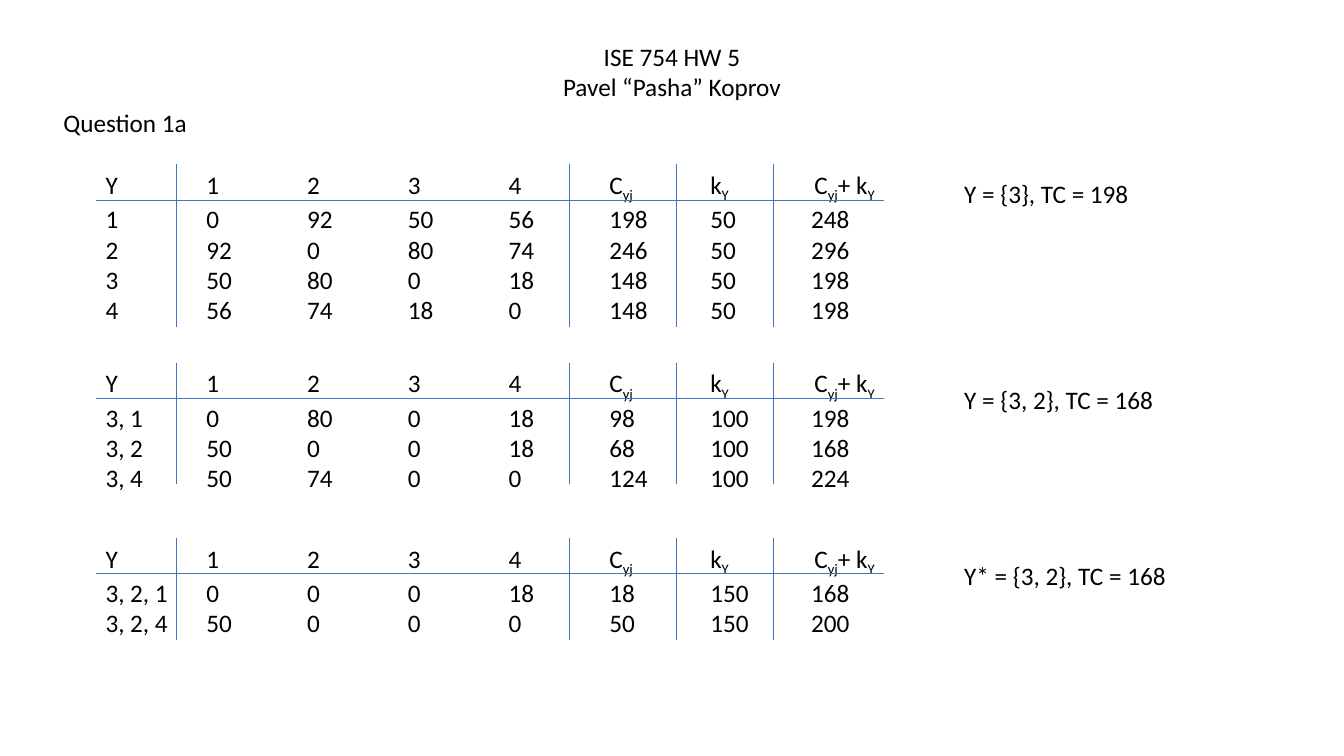
"""Build the facility location homework slide with its three cost tables."""
from lxml.etree import SubElement
from pptx import Presentation
from pptx.dml.color import RGBColor
from pptx.enum.shapes import MSO_CONNECTOR
from pptx.enum.text import MSO_AUTO_SIZE, PP_ALIGN
from pptx.oxml.ns import qn
from pptx.util import Cm, Pt

FONT = {"name": "Calibri", "size": Pt(18)}
BLACK, BLUE = "000000", "4472C4"
HEADER = [("Y\t1\t2\t3\t4\tC", False), ("yj\t", True), ("k", False), ("Y\t ", True),
          ("C", False), ("yj", True), ("+ k", False), ("Y", True)]
COLUMN_STEP = 2.54
RULES = [2.03, 11.94, 14.63, 17.07]
TABLES = [
    {"box": (2.41, 4.14, 20.12, 4.11), "rule": 4.11, "drop": 0.23,
     "answer": "Y = {3}, TC = 198", "answer_width": 6.3,
     "rows": [("1", 0, 92, 50, 56, 198, 50, 248),
              ("2", 92, 0, 80, 74, 246, 50, 296),
              ("3", 50, 80, 0, 18, 148, 50, 198),
              ("4", 56, 74, 18, 0, 148, 50, 198)]},
    {"box": (2.41, 9.14, 20.12, 3.33), "rule": 3.05, "drop": 0.41,
     "answer": "Y = {3, 2}, TC = 168", "answer_width": 5.61,
     "rows": [("3, 1", 0, 80, 0, 18, 98, 100, 198),
              ("3, 2", 50, 0, 0, 18, 68, 100, 168),
              ("3, 4", 50, 74, 0, 0, 124, 100, 224)]},
    {"box": (2.41, 13.56, 20.12, 2.57), "rule": 2.57, "drop": 0.43,
     "answer": "Y* = {3, 2}, TC = 168", "answer_width": 6.6,
     "rows": [("3, 2, 1", 0, 0, 0, 18, 18, 150, 168),
              ("3, 2, 4", 50, 0, 0, 0, 50, 150, 200)]},
]


def color(hex_value):
    """Turn a hex string into a colour."""
    return RGBColor.from_string(hex_value)


def add_text(s, box, paragraphs, align=PP_ALIGN.LEFT):
    """Add a text box whose paragraphs are lists of (text, subscript) runs."""
    tf = s.shapes.add_textbox(*map(Cm, box)).text_frame
    tf.word_wrap = True
    tf.auto_size = MSO_AUTO_SIZE.SHAPE_TO_FIT_TEXT
    for i, runs in enumerate(paragraphs):
        p = tf.add_paragraph() if i else tf.paragraphs[0]
        p.alignment = align
        for text, subscript in runs:
            r = p.add_run()
            r.text = text
            for key, value in FONT.items():
                setattr(r.font, key, value)
            r.font.color.rgb = color(BLACK)
            if subscript:
                r.font._element.set("baseline", "-25000")
    return tf


def set_tabs(tf, count):
    """Give every paragraph evenly spaced left tab stops."""
    for p in tf.paragraphs:
        tabs = SubElement(p._p.get_or_add_pPr(), qn("a:tabLst"))
        for i in range(1, count + 1):
            SubElement(tabs, qn("a:tab"), pos=str(Cm(COLUMN_STEP * i)), algn="l")


def add_rule(s, x1, y1, x2, y2):
    """Add a thin blue line without shadow."""
    sp = s.shapes.add_connector(MSO_CONNECTOR.STRAIGHT, *map(Cm, (x1, y1, x2, y2)))
    sp.line.color.rgb = color(BLUE)
    sp.line.width = Pt(0.5)
    SubElement(sp._element.spPr, qn("a:effectLst"))


def add_heading(s, box):
    """Add the centred title and the question label below it."""
    left, top, width, height = box
    add_text(s, box, [[("ISE 754 HW 5", False)], [("Pavel “Pasha” Koprov", False)]],
             PP_ALIGN.CENTER)
    add_text(s, (left + 0.38, top + 1.68, 4.22, 1.02), [[("Question 1a", False)]])


def add_cost_table(s, box, rows, rule, answer, answer_width, drop):
    """Add a tabbed cost table, its rules and the answer at its right."""
    left, top, width, height = box
    lines = [[("\t".join(map(str, row)), False)] for row in rows]
    set_tabs(add_text(s, box, [HEADER] + lines), len(rows[0]) - 1)
    add_rule(s, left, top + 0.9, left + width - 0.26, top + 0.9)
    for x in RULES:
        add_rule(s, left + x, top, left + x, top + rule)
    add_text(s, (left + width + 1.52, top + drop, answer_width, 1.02), [[(answer, False)]])


prs = Presentation()
prs.slide_width, prs.slide_height = Cm(33.87), Cm(19.05)
s = prs.slides.add_slide(prs.slide_layouts[6])
add_heading(s, (0.97, 0.91, 31.93, 1.8))
for table in TABLES:
    add_cost_table(s, **table)
prs.save("out.pptx")
